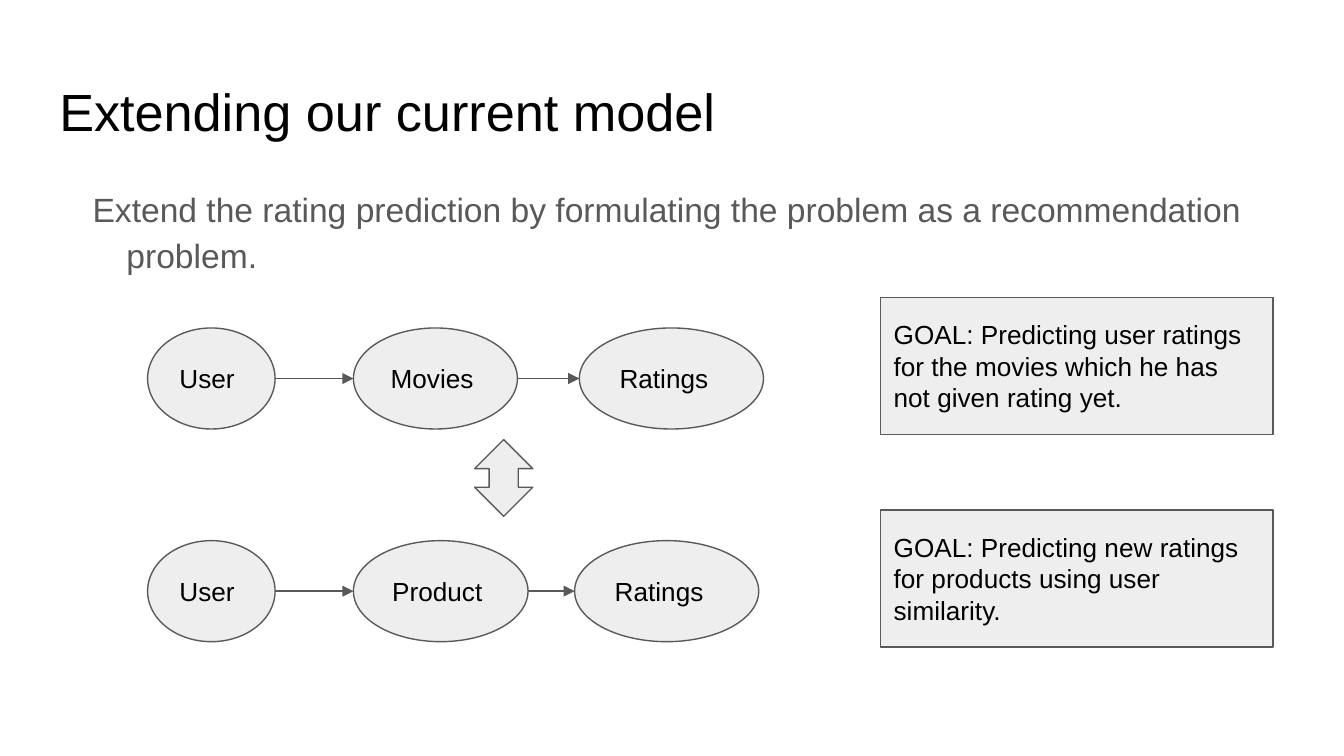
import pptx
import pptx.util
import pptx.dml.color
import pptx.enum.shapes
import pptx.enum.text
import pptx.oxml.ns
import lxml.etree

Cm = pptx.util.Cm
Pt = pptx.util.Pt
RGB = pptx.dml.color.RGBColor
SHAPE = pptx.enum.shapes.MSO_SHAPE
ALIGN = pptx.enum.text.PP_ALIGN
ANCHOR = pptx.enum.text.MSO_ANCHOR

TITLE = "Extending our current model"
SUMMARY = ("Extend the rating prediction by formulating the problem "
           "as a recommendation problem.")
FLOWS = [
    {
        "steps": [("User", 2.79, 2.41), ("Movies", 6.68, 3.1), ("Ratings", 10.95, 3.48)],
        "goal": "GOAL: Predicting user ratings for the movies which he has not given rating yet.",
        "grouped": False,
    },
    {
        "steps": [("User", 2.79, 2.41), ("Product", 6.68, 3.3), ("Ratings", 10.86, 3.48)],
        "goal": "GOAL: Predicting new ratings for products using user similarity.",
        "grouped": True,
    },
]

THEME = {
    "font": "Arial",
    "ink": RGB(0x00, 0x00, 0x00),
    "muted": RGB(0x59, 0x59, 0x59),
    "panel": RGB(0xEE, 0xEE, 0xEE),
    "title_size": Pt(28),
    "summary_size": Pt(18),
    "label_size": Pt(14),
    "line_width": Pt(0.75),
}

FLOW_TOP, FLOW_PITCH, STEP_HEIGHT = 6.2, 4.02, 1.91
GOAL_LEFT, GOAL_WIDTH, GOAL_HEIGHT = 16.64, 7.42, 2.59
GOAL_RISE = 0.58
INSET = Cm(0.25)


def apply(target, values):
    for name, value in values.items():
        setattr(target, name, value)


def write(holder, text, size, color, anchor, **paragraph_format):
    frame = holder.text_frame
    frame.text = text
    apply(frame, {
        "word_wrap": True,
        "auto_size": pptx.enum.text.MSO_AUTO_SIZE.NONE,
        "vertical_anchor": anchor,
        "margin_left": INSET, "margin_right": INSET,
        "margin_top": INSET, "margin_bottom": INSET,
    })
    paragraph = frame.paragraphs[0]
    apply(paragraph, {"alignment": ALIGN.LEFT, **paragraph_format})
    font = paragraph.runs[0].font
    apply(font, {"name": THEME["font"], "size": size})
    font.color.rgb = color
    return paragraph


def outline(line):
    line.color.rgb = THEME["muted"]
    line.width = THEME["line_width"]


def add_panel(shapes, kind, left, top, width, height, text=None):
    panel = shapes.add_shape(kind, Cm(left), Cm(top), Cm(width), Cm(height))
    panel.shadow.inherit = False
    panel.fill.solid()
    panel.fill.fore_color.rgb = THEME["panel"]
    outline(panel.line)
    if text:
        write(panel, text, THEME["label_size"], THEME["ink"], ANCHOR.MIDDLE)


def add_arrow(shapes, start, end, y):
    arrow = shapes.add_connector(
        pptx.enum.shapes.MSO_CONNECTOR.STRAIGHT, Cm(start), Cm(y), Cm(end), Cm(y))
    outline(arrow.line)
    qn = pptx.oxml.ns.qn
    properties = arrow._element.spPr
    lxml.etree.SubElement(properties.find(qn("a:ln")), qn("a:tailEnd"), type="triangle")
    lxml.etree.SubElement(properties, qn("a:effectLst"))


def add_flow(shapes, flow, top):
    steps = flow["steps"]
    for label, left, width in steps:
        add_panel(shapes, SHAPE.OVAL, left, top, width, STEP_HEIGHT, label)
    for (_, left, width), (_, next_left, _) in zip(steps, steps[1:]):
        add_arrow(shapes, left + width, next_left, top + STEP_HEIGHT / 2)
    add_panel(shapes, SHAPE.RECTANGLE, GOAL_LEFT, top - GOAL_RISE,
              GOAL_WIDTH, GOAL_HEIGHT, flow["goal"])


def main():
    deck = pptx.Presentation()
    apply(deck, {"slide_width": Cm(25.4), "slide_height": Cm(14.29)})
    slide = deck.slides.add_slide(deck.slide_layouts[1])

    title = slide.shapes.title
    apply(title, {"left": Cm(0.87), "top": Cm(1.24),
                  "width": Cm(23.67), "height": Cm(1.6)})
    write(title, TITLE, THEME["title_size"], THEME["ink"], ANCHOR.TOP)

    summary = slide.placeholders[1]
    apply(summary, {"left": Cm(0.87), "top": Cm(3.2),
                    "width": Cm(23.67), "height": Cm(2.31)})
    paragraph = write(summary, SUMMARY, THEME["summary_size"], THEME["muted"], ANCHOR.TOP,
                      line_spacing=1.15, space_before=Pt(0), space_after=Pt(16))
    properties = paragraph._p.get_or_add_pPr()
    properties.set("marL", str(Cm(1.27)))
    properties.set("indent", str(-Cm(0.64)))
    lxml.etree.SubElement(properties, pptx.oxml.ns.qn("a:buNone"))

    for row, flow in enumerate(FLOWS):
        shapes = slide.shapes
        if flow["grouped"]:
            shapes = shapes.add_group_shape().shapes
        add_flow(shapes, flow, FLOW_TOP + row * FLOW_PITCH)

    add_panel(slide.shapes, SHAPE.UP_DOWN_ARROW, 8.97, 8.31, 1.1, 1.45)
    deck.save("out.pptx")


if __name__ == "__main__":
    main()
